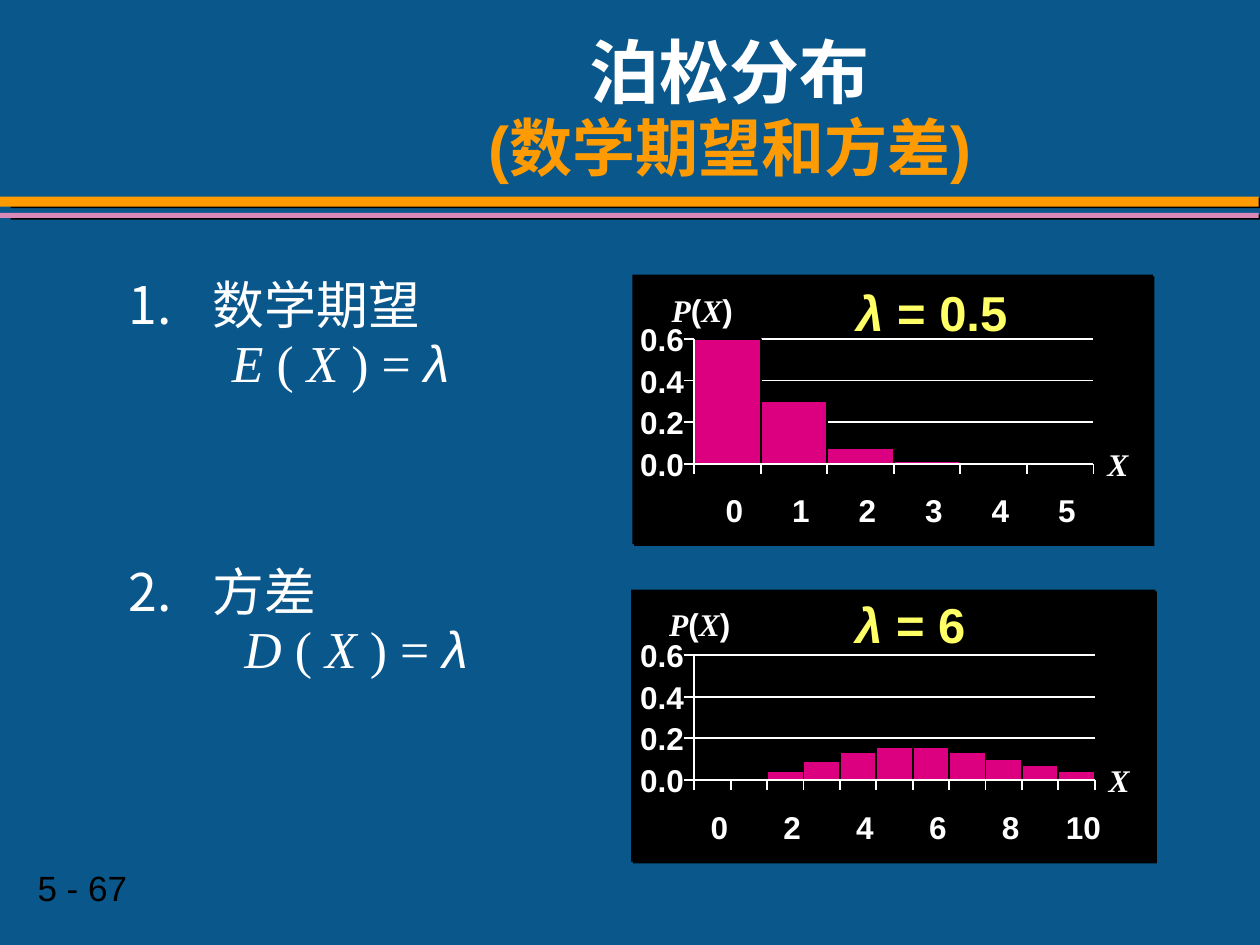
from dataclasses import dataclass

from lxml.etree import SubElement
from pptx import Presentation
from pptx.dml.color import RGBColor
from pptx.enum.shapes import MSO_CONNECTOR, MSO_SHAPE
from pptx.enum.text import MSO_ANCHOR, MSO_AUTO_SIZE, PP_ALIGN
from pptx.oxml.ns import qn
from pptx.util import Inches, Pt

COLORS = {
    "background": "0A578C", "orange": "FE9B03", "pink": "D989B8", "white": "FFFFFF",
    "black": "000000", "bar": "DC0081", "yellow": "FFFF66",
}
SANS, SERIF, DISPLAY = "Arial", "Times New Roman", "Vollkorn"
PLOT_LEFT = 5.51
GRID_STEP = 0.33  # inches for each 0.2 of probability
Y_LABELS = ("0.0", "0.2", "0.4", "0.6")


@dataclass
class Span:
    text: str
    font: str = SANS
    italic: bool = False


@dataclass
class Histogram:
    panel: tuple[float, float, float, float]
    heading: str
    heading_at: tuple[float, float]
    axis_name_at: tuple[float, float]
    baseline: float
    slot: float
    label_step: int
    probabilities: tuple[float, ...]


@dataclass
class Item:
    heading: str
    symbol: str
    number: int
    space_before: float
    formula_indent: float


HISTOGRAMS = (
    Histogram((5.02, 2.18, 4.13, 2.14), "= 0.5", (6.25, 2.19), (5.33, 2.31),
              3.68, 0.528, 1, (0.6, 0.3, 0.075, 0.01, 0, 0)),
    Histogram((5.01, 4.68, 4.16, 2.16), "= 6", (6.08, 4.67), (5.31, 4.8),
              6.19, 0.289, 2,
              (0, 0.01, 0.04, 0.09, 0.135, 0.16, 0.16, 0.135, 0.1, 0.07, 0.04)),
)
ITEMS = (Item("数学期望", "E", 1, 8, 0.82), Item("方差", "D", 2, 106, 0.92))


def color(name: str) -> RGBColor:
    return RGBColor.from_string(COLORS[name])


def add_rect(shapes, left: float, top: float, width: float, height: float,
             fill: str, line: str | None = None):
    rect = shapes.add_shape(MSO_SHAPE.RECTANGLE, Inches(left), Inches(top),
                            Inches(width), Inches(height))
    rect.shadow.inherit = False
    rect.fill.solid()
    rect.fill.fore_color.rgb = color(fill)
    if line:
        rect.line.color.rgb = color(line)
        rect.line.width = Pt(1)
    else:
        rect.line.fill.background()
    return rect


def add_shadow(shape, distance: float, angle: int) -> None:
    effects = shape._element.spPr.find(qn("a:effectLst"))
    shadow = SubElement(effects, qn("a:outerShdw"), blurRad="0", dist=str(Pt(distance)),
                        dir=str(angle * 60000), algn="ctr", rotWithShape="0")
    SubElement(shadow, qn("a:srgbClr"), val=COLORS["black"])


def add_line(shapes, x1: float, y1: float, x2: float, y2: float) -> None:
    line = shapes.add_connector(MSO_CONNECTOR.STRAIGHT, Inches(x1), Inches(y1),
                                Inches(x2), Inches(y2))
    line.line.color.rgb = color("white")
    line.line.width = Pt(1)
    SubElement(line._element.spPr, qn("a:effectLst"))


def add_spans(para, spans: list[Span]) -> None:
    for span in spans:
        run = para.add_run()
        run.text = span.text
        run.font.name = span.font
        run.font.italic = span.italic


def add_label(shapes, left: float, top: float, width: float, spans: list[Span]) -> None:
    box = shapes.add_textbox(Inches(left), Inches(top), Inches(width), Inches(0.3))
    frame = box.text_frame
    frame.margin_left = frame.margin_right = frame.margin_top = frame.margin_bottom = 0
    frame.word_wrap = False
    para = frame.paragraphs[0]
    para.font.size, para.font.bold = Pt(18), True
    para.font.color.rgb = color("white")
    add_spans(para, spans)


def draw_histogram(page, chart: Histogram) -> None:
    shapes = page.shapes.add_group_shape().shapes
    base, right = chart.baseline, PLOT_LEFT + chart.slot * len(chart.probabilities)
    levels = [base - GRID_STEP * i for i in range(len(Y_LABELS))]
    add_shadow(add_rect(shapes, *chart.panel, "black"), 1.4, 45)

    # Gridlines, then bars
    for level in levels[1:]:
        add_line(shapes, PLOT_LEFT, level, right, level)
    for i, probability in enumerate(chart.probabilities):
        height = probability / 0.2 * GRID_STEP
        if height:
            add_rect(shapes, PLOT_LEFT + i * chart.slot, base - height,
                     chart.slot, height, "bar", "black")

    # Axes, tick marks and their labels
    add_line(shapes, PLOT_LEFT, levels[-1], PLOT_LEFT, base)
    add_line(shapes, PLOT_LEFT, base, right, base)
    for level, text in zip(levels, Y_LABELS):
        add_line(shapes, PLOT_LEFT - 0.08, level, PLOT_LEFT, level)
        add_label(shapes, 5.08, level - 0.15, 0.35, [Span(text)])
    for i in range(len(chart.probabilities) + 1):
        x = PLOT_LEFT + i * chart.slot
        add_line(shapes, x, base + 0.08, x, base)
    for i in range(0, len(chart.probabilities), chart.label_step):
        width = 0.14 * len(str(i))
        center = PLOT_LEFT + (i + 0.5) * chart.slot + 0.055
        add_label(shapes, center - width / 2, base + 0.22, width, [Span(str(i))])

    # Axis names and heading
    add_label(shapes, right + 0.11, base - 0.15, 0.17, [Span("X", SERIF, True)])
    add_label(shapes, *chart.axis_name_at, 0.49,
              [Span("P", SERIF, True), Span("("), Span("X", SERIF, True), Span(")")])
    left, top = chart.heading_at
    box = shapes.add_textbox(Inches(left), Inches(top), Inches(2.29), Inches(0.56))
    box.text_frame.word_wrap = True
    para = box.text_frame.paragraphs[0]
    para.alignment, para.space_before = PP_ALIGN.CENTER, Pt(17.5)
    para.font.size, para.font.bold = Pt(28), True
    para.font.color.rgb = color("yellow")
    add_spans(para, [Span("λ ", italic=True), Span(chart.heading)])


def place(shape, left: float, top: float, width: float, height: float) -> None:
    shape.left, shape.top = Inches(left), Inches(top)
    shape.width, shape.height = Inches(width), Inches(height)
    shape.text_frame.auto_size = MSO_AUTO_SIZE.NONE


def fill_title(title) -> None:
    place(title, 2.08, 0.25, 7.42, 1.25)
    title.text_frame.vertical_anchor = MSO_ANCHOR.MIDDLE
    para = title.text_frame.paragraphs[0]
    para.alignment, para.line_spacing, para.font.bold = PP_ALIGN.CENTER, 0.95, True
    add_spans(para, [Span("泊松分布", DISPLAY)])
    para.add_line_break()
    add_spans(para, [Span("(数学期望和方差)")])
    for run, size, name in zip(para.runs, (40, 36), ("white", "orange")):
        run.font.size = Pt(size)
        run.font.color.rgb = color(name)


def add_body_line(para, space_before: float, margin: float, indent: float,
                  spans: list[Span], number: int = 0) -> None:
    para.line_spacing, para.space_before = 0.7, Pt(space_before)
    para.font.size = Pt(29.6)
    para.font.color.rgb = color("white")
    add_spans(para, spans)
    props = para._p.get_or_add_pPr()
    props.set("marL", str(Inches(margin)))
    props.set("indent", str(Inches(indent)))
    if number:
        bullet = props.makeelement(qn("a:buAutoNum"),
                                   {"type": "arabicPeriod", "startAt": str(number)})
    else:
        bullet = props.makeelement(qn("a:buNone"), {})
    props.find(qn("a:defRPr")).addprevious(bullet)


def fill_body(body) -> None:
    place(body, 0.92, 2.25, 4.58, 4.17)
    frame = body.text_frame
    for item in ITEMS:
        first = frame.paragraphs[0] if item.number == 1 else frame.add_paragraph()
        add_body_line(first, item.space_before, 0.67, -0.67, [Span(item.heading)], item.number)
        add_body_line(frame.add_paragraph(), 8, item.formula_indent, 0, [
            Span(f"{item.symbol} ", SERIF, True), Span("( ", SERIF), Span("X", SERIF, True),
            Span(" ) = ", SERIF), Span("λ", SANS, True)])


def main() -> None:
    deck = Presentation()
    deck.slide_width, deck.slide_height = Inches(10), Inches(7.5)
    page = deck.slides.add_slide(deck.slide_layouts[1])
    page.background.fill.solid()
    page.background.fill.fore_color.rgb = color("background")

    # Rules under the title
    for top, height, name in ((1.56, 0.08, "orange"), (1.69, 0.04, "pink")):
        add_shadow(add_rect(page.shapes, 0, top, 9.99, height, name), 6.1, 9)

    # Page number
    box = page.shapes.add_textbox(Inches(0.2), Inches(6.83), Inches(1.87), Inches(0.43))
    box.text_frame.word_wrap = True
    para = box.text_frame.paragraphs[0]
    para.text = "5 - 67"
    para.font.name, para.font.size = SANS, Pt(20)
    para.font.color.rgb = color("black")

    fill_title(page.shapes.title)
    fill_body(page.placeholders[1])
    for chart in HISTOGRAMS:
        draw_histogram(page, chart)
    deck.save("out.pptx")


if __name__ == "__main__":
    main()
